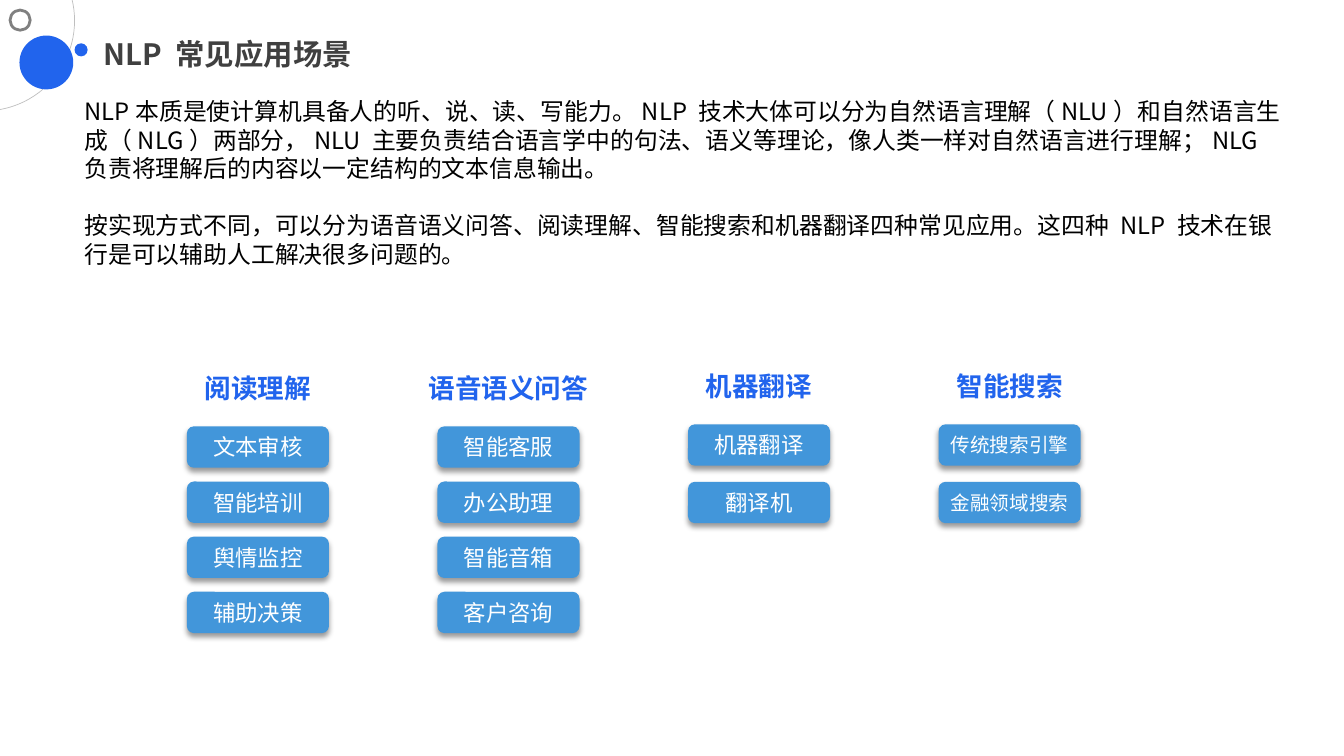
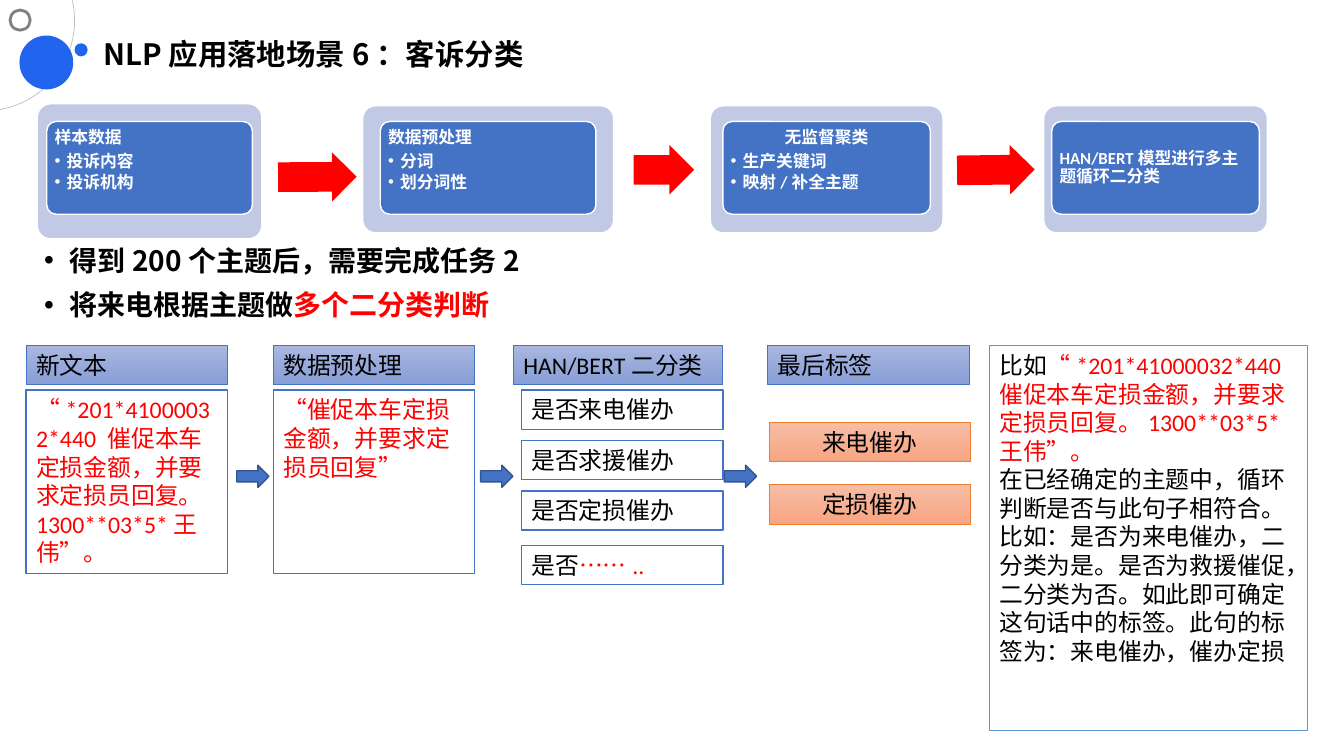
from dataclasses import dataclass, replace

from lxml import etree
from pptx import Presentation
from pptx import util as u
from pptx.dml import color as colors
from pptx.enum import shapes, text
from pptx.oxml import ns

CELL = 0.1  # inches: the slide is a grid of 133.4 columns by 75 rows
COLUMNS, ROWS = 133.4, 75
PALETTE = {
    "brand": "2164ED", "button": "4296DA", "grey": "808080", "pale": "BFBFBF",
    "dark": "404040", "black": "000000", "white": "FFFFFF", "red": "FF0000",
    "blue": "4472C4", "navy": "325491", "sky": "5B9BD5", "lavender": "C1C9E4",
    "blue_top": "A8B7DF", "blue_end": "889ED7",
    "orange": "ED7D31", "orange_top": "F7BDA5", "orange_end": "F8A582",
}
CJK = "Noto Sans CJK SC"
KIND = shapes.MSO_SHAPE
LEFT, CENTER = text.PP_ALIGN.LEFT, text.PP_ALIGN.CENTER
TOP, MIDDLE = text.MSO_ANCHOR.TOP, text.MSO_ANCHOR.MIDDLE


@dataclass(frozen=True)
class Box:
    left: float
    top: float
    width: float
    height: float

    def inside(self, left, top, width, height):
        return Box(self.left + left, self.top + top, width, height)

    def lengths(self):
        return [u.Inches(cells * CELL)
                for cells in (self.left, self.top, self.width, self.height)]


@dataclass(frozen=True)
class Style:
    size: float
    color: str = "black"
    bold: bool = False
    font: str = "Calibri"
    align: int = LEFT
    spacing: float = 1.0
    before: float = 0
    after: float = 0
    bullet: float = 0  # hanging indent in inches


TITLE = Style(21, bold=True, font=CJK, spacing=0.9)
BODY = Style(17, font=CJK, before=20.4)
HEADING = Style(19, "brand", True, CJK, CENTER)
BUTTON = Style(16, "white", font=CJK, align=CENTER)
TASK = Style(20, bold=True, font=CJK, spacing=0.9, before=10, bullet=0.25)
STAGE = Style(12, "white", True, spacing=0.9, after=4.2)
STAGE_ITEM = replace(STAGE, after=1.8, bullet=0.12)
CELL_TEXT = Style(17)


def rgb(name):
    return colors.RGBColor.from_string(PALETTE[name])


def add_element(parent, tag, **attributes):
    return etree.SubElement(parent, ns.qn(tag), attributes)


def write(shape, paragraphs, anchor=TOP, inset=(0.1, 0.05)):
    """Fill a shape with (style, run, ...) rows; a run is text or (text, colour)."""
    frame = shape.text_frame
    frame.word_wrap = True
    frame.vertical_anchor = anchor
    frame.margin_left = frame.margin_right = u.Inches(inset[0])
    frame.margin_top = frame.margin_bottom = u.Inches(inset[1])
    for index, (style, *runs) in enumerate(paragraphs):
        paragraph = frame.add_paragraph() if index else frame.paragraphs[0]
        paragraph.alignment = style.align
        paragraph.line_spacing = style.spacing
        paragraph.space_before = u.Pt(style.before if index else 0)
        paragraph.space_after = u.Pt(style.after)
        if style.bullet:
            properties = paragraph._p.get_or_add_pPr()
            indent = u.Inches(style.bullet)
            properties.set("marL", str(indent))
            properties.set("indent", str(-indent))
            add_element(properties, "a:buFont", typeface="Arial")
            add_element(properties, "a:buChar", char="•")
        font = paragraph.font
        font.size, font.bold, font.name = u.Pt(style.size), style.bold, style.font
        font.color.rgb = rgb(style.color)
        add_element(paragraph._p.pPr.find(ns.qn("a:defRPr")), "a:ea", typeface=CJK)
        for part in runs:
            run = paragraph.add_run()
            if isinstance(part, str):
                run.text = part
            else:
                run.text = part[0]
                run.font.color.rgb = rgb(part[1])


def add_text(slide, box, paragraphs, **options):
    write(slide.shapes.add_textbox(*box.lengths()), paragraphs, **options)


def add_shape(slide, kind, box, fill=None, line=None, weight=1.0, adjust=()):
    """Draw a preset shape; a fill of two colour names is a downward gradient."""
    shape = slide.shapes.add_shape(kind, *box.lengths())
    shape.shadow.inherit = False
    if fill is None:
        shape.fill.background()
    elif isinstance(fill, tuple):
        shape.fill.gradient()
        shape.fill.gradient_angle = 270
        for stop, name in zip(shape.fill.gradient_stops, fill):
            stop.color.rgb = rgb(name)
    else:
        shape.fill.solid()
        shape.fill.fore_color.rgb = rgb(fill)
    if line:
        shape.line.color.rgb = rgb(line)
        shape.line.width = u.Pt(weight)
    else:
        shape.line.fill.background()
    for index, value in enumerate(adjust):
        shape.adjustments[index] = value
    return shape


def drop_shadow(shape):
    effects = shape._element.spPr.find(ns.qn("a:effectLst"))
    shadow = add_element(effects, "a:outerShdw", blurRad=str(u.Pt(4)),
                         dist=str(u.Pt(3)), dir="5400000", rotWithShape="0")
    tint = add_element(shadow, "a:srgbClr", val=PALETTE["black"])
    add_element(tint, "a:alpha", val="40000")


def start_slide(presentation, title, color):
    """Add a blank slide with the corner ornament and the title."""
    slide = presentation.slides.add_slide(presentation.slide_layouts[6])
    add_shape(slide, KIND.ARC, Box(-10.5, -6.9, 17.9, 17.9), line="pale",
              weight=0.5, adjust=(207.72, 48.6))
    add_shape(slide, KIND.OVAL, Box(2, 3.6, 5.2, 5.2), "brand", "brand")
    add_shape(slide, KIND.OVAL, Box(7.4, 4.3, 1.3, 1.3), "brand")
    add_shape(slide, KIND.OVAL, Box(1, 1, 2, 2), line="grey", weight=2)
    add_text(slide, Box(8.95, 3.25, 108, 4.6), [(replace(TITLE, color=color), title)],
             inset=(0.13, 0.07))
    return slide


def application_column(slide, box, step, size, heading, names):
    """Stack a heading and its buttons, one every step rows."""
    add_text(slide, box.inside(0, 0, box.width, 3.3), [(HEADING, heading)],
             anchor=MIDDLE, inset=(0.13, 0.07))
    for row, name in enumerate(names):
        place = box.inside((box.width - 14.1) / 2, 5.5 + row * step, 14.1, 4.1)
        button = add_shape(slide, KIND.ROUNDED_RECTANGLE, place, "button")
        drop_shadow(button)
        write(button, [(replace(BUTTON, size=size), name)], MIDDLE, (0.03, 0.02))


def applications(slide, box):
    columns = [
        (0.2, 5.47, 16, "阅读理解", ["文本审核", "智能培训", "舆情监控", "辅助决策"]),
        (0.2, 5.47, 16, "语音语义问答", ["智能客服", "办公助理", "智能音箱", "客户咨询"]),
        (0, 5.7, 16, "机器翻译", ["机器翻译", "翻译机"]),
        (0, 5.7, 14, "智能搜索", ["传统搜索引擎", "金融领域搜索"]),
    ]
    pitch = box.width / len(columns)
    for index, (drop, *content) in enumerate(columns):
        application_column(slide, box.inside(index * pitch, drop, 22.6, box.height),
                           *content)


def pipeline(slide, box):
    """Draw the four framed stages and the red arrows between them."""
    centered = replace(STAGE, align=CENTER)
    stages = [  # left, top, width, height, card width, anchor, paragraphs
        (0, 0, 22.3, 13.4, 20.4, TOP, [
            (STAGE, "样本数据"), (STAGE_ITEM, "投诉内容"), (STAGE_ITEM, "投诉机构")]),
        (32.3, 0.2, 24.9, 12.6, 21.4, TOP, [
            (STAGE, "数据预处理"), (STAGE_ITEM, "分词"), (STAGE_ITEM, "划分词性")]),
        (66.8, 0.2, 23.1, 12.6, 20.6, TOP, [
            (centered, "无监督聚类"), (STAGE_ITEM, "生产关键词"),
            (STAGE_ITEM, "映射/补全主题")]),
        (99.9, 0.2, 22.2, 12.6, 20.6, MIDDLE, [
            (STAGE, "HAN/BERT模型进行多主题循环二分类")]),
    ]
    for left, top, width, height, card_width, anchor, paragraphs in stages:
        add_shape(slide, KIND.ROUNDED_RECTANGLE, box.inside(left, top, width, height),
                  "lavender", "white", adjust=(0.1,))
        card_box = box.inside(left + (width - card_width) / 2, 1.75, card_width, 9.2)
        card = add_shape(slide, KIND.ROUNDED_RECTANGLE, card_box, "blue", "white",
                         adjust=(0.1,))
        write(card, paragraphs, anchor, (0.05, 0.05))
    for left, top, width, angle in [(23.9, 4.8, 7.8, -0.3), (59.2, 4.1, 6, 0),
                                    (91.3, 4.1, 7.7, -0.7)]:
        arrow = add_shape(slide, KIND.RIGHT_ARROW, box.inside(left, top, width, 4.9),
                          "red", adjust=(0.6, 0.5))
        arrow.rotation = angle


def panel(slide, box, *paragraphs, fill="white", line="blue", weight=1.0, align=LEFT):
    shape = add_shape(slide, KIND.RECTANGLE, box, fill, line, weight)
    style = replace(CELL_TEXT, align=align)
    write(shape, [(style, *runs) for runs in paragraphs])


def workflow(slide, box):
    """Lay out the four columns that take a new text to its labels."""
    pitch, width, row = box.width / 4, 20, 3.9
    headers = [("新文本", 0), ("数据预处理", 0), ("HAN/BERT二分类", 0.7), ("最后标签", 0)]
    for index, (label, widening) in enumerate(headers):
        panel(slide, box.inside(index * pitch - widening, 0, width + widening, row),
              [label], fill=("blue_top", "blue_end"), weight=0.5)
    samples = ["“*201*41000032*440 催促本车定损金额，并要求定损员回复。1300**03*5*王伟”。",
               "“催促本车定损金额，并要求定损员回复”"]
    for index, sample in enumerate(samples):
        panel(slide, box.inside(index * pitch, 4.45, width, 18.2), [(sample, "red")])
    for index in range(3):
        add_shape(slide, KIND.RIGHT_ARROW, box.inside(20.9 + index * 24.2, 11.9, 3.2, 2.2),
                  "blue", "navy")
    questions = [(4.45, ["是否来电催办"]), (9.45, ["是否求援催办"]),
                 (14.45, ["是否定损催办"]), (19.85, ["是否", ("……..", "red")])]
    for top, runs in questions:
        panel(slide, box.inside(2 * pitch + 0.1, top, width, row), runs)
    for top, label in [(7.65, "来电催办"), (13.85, "定损催办")]:
        panel(slide, box.inside(3 * pitch + 0.15, top, width, row), [label],
              fill=("orange_top", "orange_end"), line="orange", weight=0.5, align=CENTER)


def applications_slide(presentation):
    slide = start_slide(presentation, "NLP 常见应用场景", "dark")
    add_text(slide, Box(7.4, 9.1, 121.4, 18.2), [
        (BODY, "NLP本质是使计算机具备人的听、说、读、写能力。NLP 技术大体可以分为自然语言理解（NLU）"
               "和自然语言生成（NLG）两部分，NLU 主要负责结合语言学中的句法、语义等理论，"
               "像人类一样对自然语言进行理解；NLG负责将理解后的内容以一定结构的文本信息输出。"),
        (BODY, "按实现方式不同，可以分为语音语义问答、阅读理解、智能搜索和机器翻译四种常见应用。"
               "这四种 NLP 技术在银行是可以辅助人工解决很多问题的。"),
    ])
    applications(slide, Box(14.3, 36.6, 99.48, 26.2))


def complaints_slide(presentation):
    slide = start_slide(presentation, "NLP应用落地场景6：客诉分类", "black")
    add_text(slide, Box(3.4, 24, 120, 7.5), [
        (TASK, "得到200个主题后，需要完成任务2"),
        (TASK, "将来电根据主题做", ("多个二分类判断", "red")),
    ])
    panel(slide, Box(98.2, 34.3, 31.6, 38.2),
          ["比如", ("“*201*41000032*440 催促本车定损金额，并要求定损员回复。"
                  "1300**03*5*王伟”。", "red")],
          ["在已经确定的主题中，循环判断是否与此句子相符合。比如：是否为来电催办，二分类为是。"
           "是否为救援催促，二分类为否。如此即可确定这句话中的标签。"
           "此句的标签为：来电催办，催办定损"], line="sky")
    workflow(slide, Box(2.6, 34.25, 98.12, 23.8))
    pipeline(slide, Box(3.7, 10.3, 122.1, 13.4))


def main():
    presentation = Presentation()
    presentation.slide_width = u.Inches(COLUMNS * CELL)
    presentation.slide_height = u.Inches(ROWS * CELL)
    applications_slide(presentation)
    complaints_slide(presentation)
    presentation.save("out.pptx")


if __name__ == "__main__":
    main()
